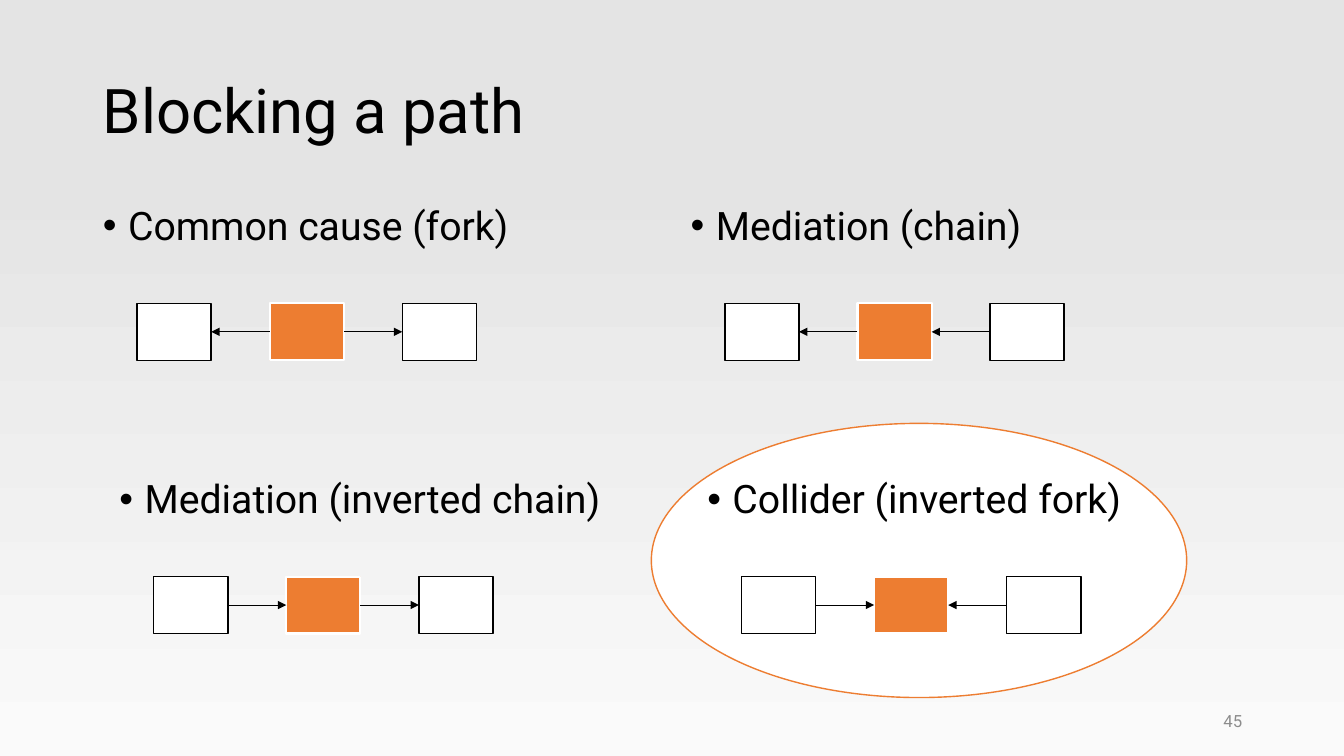
from lxml import etree
from pptx import Presentation
from pptx.dml.color import RGBColor
from pptx.enum.shapes import MSO_CONNECTOR, MSO_SHAPE
from pptx.enum.text import MSO_ANCHOR, MSO_AUTO_SIZE, PP_ALIGN
from pptx.oxml.ns import qn
from pptx.util import Inches, Pt

RECT, OVAL = MSO_SHAPE.RECTANGLE, MSO_SHAPE.OVAL
STRAIGHT = MSO_CONNECTOR.STRAIGHT
TOP, MIDDLE = MSO_ANCHOR.TOP, MSO_ANCHOR.MIDDLE
LEFT, RIGHT = PP_ALIGN.LEFT, PP_ALIGN.RIGHT
NO_FIT = MSO_AUTO_SIZE.NONE
LEFT_SITE, RIGHT_SITE = 1, 3

BLACK, WHITE, ORANGE, GREY = "000000", "FFFFFF", "ED7D31", "8C8C8C"
WIDTH, HEIGHT = 13.33, 7.5
MARGIN, COL_STEP = 0.92, 5.83
ROW_TOP, ROW_STEP, ROW_SHIFT = 2, 2.71, 0.165
PANEL_W, PANEL_H = 5.67, 2.2
NODE_X, NODE_Y, NODE_STEP = 0.44, 1.01, 1.315
NODE_W, NODE_H = 0.735, 0.565

PANELS = [
    ("Common cause (fork)", "←→"),
    ("Mediation (chain)", "←←"),
    ("Mediation (inverted chain)", "→→"),
    ("Collider (inverted fork)", "→←"),
]


def rgb(value):
    return RGBColor.from_string(value)


def set_attrs(obj, values):
    for name, value in values.items():
        setattr(obj, name, value)


def place(sp, x, y, w, h):
    set_attrs(sp, {"left": Inches(x), "top": Inches(y),
                   "width": Inches(w), "height": Inches(h)})


def write(sp, text, size, color=BLACK, anchor=MIDDLE, **para):
    tf = sp.text_frame
    set_attrs(tf, {"word_wrap": True, "auto_size": NO_FIT, "vertical_anchor": anchor})
    p = tf.paragraphs[0]
    set_attrs(p, {"alignment": LEFT, **para})
    r = p.add_run()
    r.text = text
    set_attrs(r.font, {"name": "Roboto", "size": Pt(size), "bold": False})
    r.font.color.rgb = rgb(color)
    return p


def add_bullet(p):
    pPr = p._p.get_or_add_pPr()
    pPr.set("marL", str(Inches(0.25)))
    pPr.set("indent", str(-Inches(0.25)))
    etree.SubElement(pPr, qn("a:buFont")).set("typeface", "Arial")
    etree.SubElement(pPr, qn("a:buChar")).set("char", "•")


def add_filled(slide, kind, box, fill, line, weight):
    sp = slide.shapes.add_shape(kind, *map(Inches, box))
    sp.shadow.inherit = False
    sp.fill.solid()
    sp.fill.fore_color.rgb = rgb(fill)
    sp.line.color.rgb = rgb(line)
    sp.line.width = Pt(weight)
    return sp


def add_arrow(slide, left, right, direction):
    ends = [(left, RIGHT_SITE), (right, LEFT_SITE)]
    if direction == "←":
        ends.reverse()
    cx = slide.shapes.add_connector(STRAIGHT, 0, 0, 0, 0)
    cx.begin_connect(*ends[0])
    cx.end_connect(*ends[1])
    cx.line.color.rgb = rgb(BLACK)
    cx.line.width = Pt(0.5)
    etree.SubElement(cx.line._get_or_add_ln(), qn("a:tailEnd")).set("type", "triangle")
    etree.SubElement(cx._element.spPr, qn("a:effectLst"))


def paint_background(slide):
    fill = slide.background.fill
    fill.gradient()
    fill.gradient_angle = 90
    for stop, (pos, color) in zip(fill.gradient_stops, [(0, "FAFAFA"), (0.78, "E4E4E4")]):
        stop.position = pos
        stop.color.rgb = rgb(color)


def build_title(slide, x, y, w, h):
    title = slide.shapes.title
    place(title, x, y, w, h)
    write(title, "Blocking a path", 44, line_spacing=0.9)


def build_highlight(slide, *box):
    oval = add_filled(slide, OVAL, box, WHITE, ORANGE, 1)
    slide.shapes.title.element.addprevious(oval.element)


def build_panel(slide, body, x, y, text, arrows):
    place(body, x, y, PANEL_W, PANEL_H)
    p = write(body, text, 28, anchor=TOP, line_spacing=0.9, space_before=Pt(10))
    add_bullet(p)
    styles = [(WHITE, BLACK, 1), (ORANGE, WHITE, 1.5), (WHITE, BLACK, 1)]
    nodes = [
        add_filled(slide, RECT,
                   (x + NODE_X + i * NODE_STEP, y + NODE_Y, NODE_W, NODE_H), *style)
        for i, style in enumerate(styles)
    ]
    for left, right, direction in zip(nodes, nodes[1:], arrows):
        add_arrow(slide, left, right, direction)


def build_number(slide, *box):
    sp = slide.shapes.add_textbox(*map(Inches, box))
    write(sp, "45", 12, GREY, alignment=RIGHT)


def main():
    prs = Presentation()
    set_attrs(prs, {"slide_width": Inches(WIDTH), "slide_height": Inches(HEIGHT)})
    slide = prs.slides.add_slide(prs.slide_layouts.get_by_name("Comparison"))
    paint_background(slide)
    build_title(slide, MARGIN, 0.4, 11.5, 1.45)
    build_highlight(slide, 6.46, 4.2, 5.31, 2.72)
    bodies = list(slide.placeholders)[1:]
    for i, (body, (text, arrows)) in enumerate(zip(bodies, PANELS)):
        row, col = divmod(i, 2)
        x = MARGIN + col * COL_STEP + row * ROW_SHIFT
        build_panel(slide, body, x, ROW_TOP + row * ROW_STEP, text, arrows)
    build_number(slide, 9.42, 6.95, 3, 0.4)
    prs.save("out.pptx")


if __name__ == "__main__":
    main()
